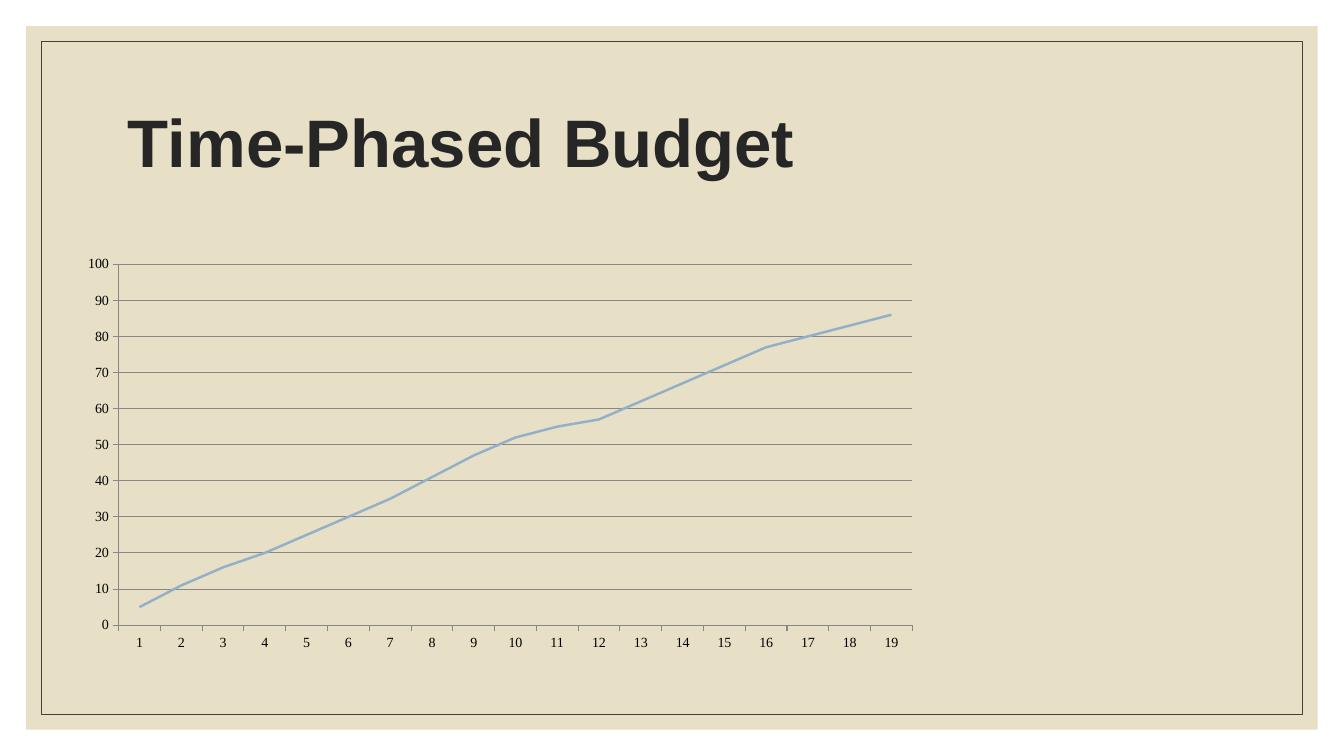
from lxml import etree
from pptx import Presentation
from pptx.chart.data import CategoryChartData
from pptx.dml.color import RGBColor
from pptx.enum.chart import XL_CHART_TYPE, XL_MARKER_STYLE, XL_TICK_MARK
from pptx.enum.shapes import MSO_SHAPE
from pptx.enum.text import MSO_ANCHOR, PP_ALIGN
from pptx.oxml.ns import qn
from pptx.util import Cm, Pt

LINE = XL_CHART_TYPE.LINE
NO_MARKER = XL_MARKER_STYLE.NONE
TICK_OUT, TICK_NONE = XL_TICK_MARK.OUTSIDE, XL_TICK_MARK.NONE
RECT = MSO_SHAPE.RECTANGLE
MIDDLE = MSO_ANCHOR.MIDDLE
LEFT = PP_ALIGN.LEFT

SAND = RGBColor(0xE7, 0xE0, 0xC7)
FRAME = RGBColor(0x40, 0x40, 0x40)
INK = RGBColor(0x26, 0x26, 0x26)
BLACK = RGBColor(0, 0, 0)
GRID = RGBColor(0x87, 0x87, 0x87)
BLUE = RGBColor(0x92, 0xB0, 0xC8)

SLIDE_W, SLIDE_H = Cm(33.87), Cm(19.05)
BUDGET = [5, 11, 16, 20, 25, 30, 35, 41, 47, 52, 55, 57, 62, 67, 72, 77, 80, 83, 86]
PLOT = {"x": 0.107, "y": 0.075, "w": 0.716, "h": 0.833}


def add_inset_rect(slide, margin):
    sp = slide.shapes.add_shape(
        RECT, margin, margin, SLIDE_W - 2 * margin, SLIDE_H - 2 * margin)
    sp.shadow.inherit = False
    return sp


def add_backdrop(slide):
    panel = add_inset_rect(slide, Cm(0.66))
    panel.fill.solid()
    panel.fill.fore_color.rgb = SAND
    panel.line.fill.background()
    border = add_inset_rect(slide, Cm(1.04))
    border.fill.background()
    border.line.color.rgb = FRAME
    border.line.width = Pt(0.5)


def add_title(slide, text, left, top, width, height):
    title = slide.shapes.title
    title.left, title.top, title.width, title.height = left, top, width, height
    slide.shapes.element.append(title.element)
    tf = title.text_frame
    tf.word_wrap = True
    tf.vertical_anchor = MIDDLE
    p = tf.paragraphs[0]
    p.alignment = LEFT
    p.line_spacing = 0.9
    r = p.add_run()
    r.text = text
    r.font.name = "Arial"
    r.font.size = Pt(48)
    r.font.bold = True
    r.font.color.rgb = INK


def set_plot_layout(chart):
    plot_area = chart.element.find(".//" + qn("c:plotArea"))
    layout = plot_area.find(qn("c:layout"))
    if layout is None:
        layout = etree.Element(qn("c:layout"))
        plot_area.insert(0, layout)
    manual = etree.SubElement(layout, qn("c:manualLayout"))
    settings = {"layoutTarget": "inner", "xMode": "edge", "yMode": "edge", **PLOT}
    for tag, value in settings.items():
        etree.SubElement(manual, qn("c:" + tag)).set("val", str(value))


def add_budget_chart(slide, left, top, width, height):
    data = CategoryChartData()
    data.categories = [str(n) for n in range(1, len(BUDGET) + 1)]
    data.add_series("Series 1", BUDGET)
    chart = slide.shapes.add_chart(LINE, left, top, width, height, data).chart
    chart.has_title = False
    chart.has_legend = False
    chart.font.name = "Times New Roman"
    chart.font.size = Pt(10)
    chart.font.color.rgb = BLACK
    set_plot_layout(chart)

    chart.plots[0].vary_by_categories = False
    series = chart.plots[0].series[0]
    series.smooth = False
    series.marker.style = NO_MARKER
    series.format.line.color.rgb = BLUE
    series.format.line.width = Pt(1.75)

    value_axis = chart.value_axis
    value_axis.minimum_scale = 0
    value_axis.maximum_scale = 100
    value_axis.major_unit = 10
    value_axis.has_major_gridlines = True
    chart.category_axis.has_major_gridlines = False
    for axis in (chart.category_axis, value_axis):
        axis.major_tick_mark = TICK_OUT
        axis.minor_tick_mark = TICK_NONE
    for part in (chart.category_axis, value_axis, value_axis.major_gridlines):
        part.format.line.color.rgb = GRID
        part.format.line.width = Pt(0.75)


def main():
    prs = Presentation()
    prs.slide_width, prs.slide_height = SLIDE_W, SLIDE_H
    slide = prs.slides.add_slide(prs.slide_layouts[5])
    add_backdrop(slide)
    add_title(slide, "Time-Phased Budget", Cm(2.97), Cm(1.78), Cm(27.94), Cm(3.81))
    add_budget_chart(slide, Cm(0), Cm(5.84), Cm(27.94), Cm(10.92))
    prs.save("out.pptx")


if __name__ == "__main__":
    main()
